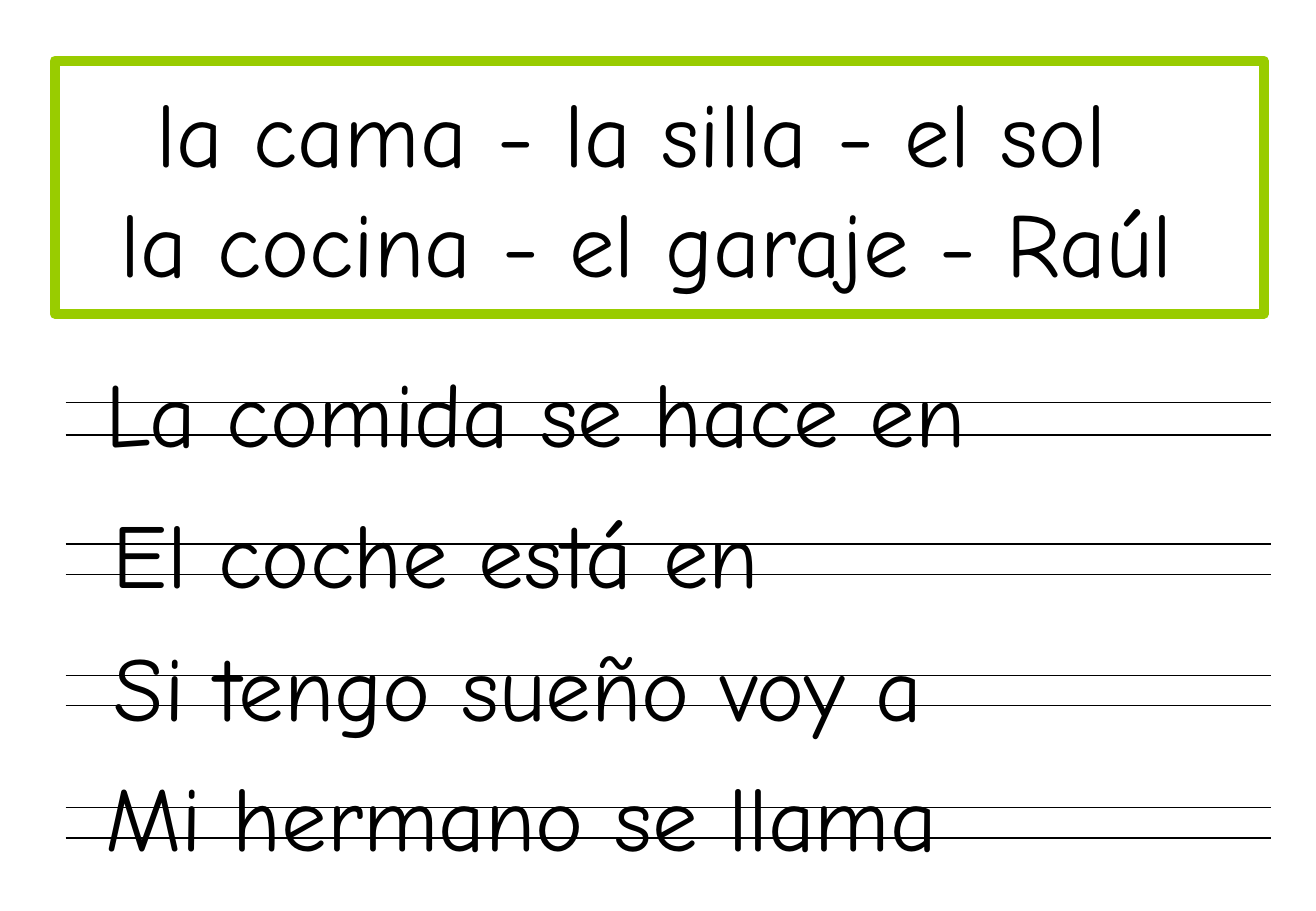
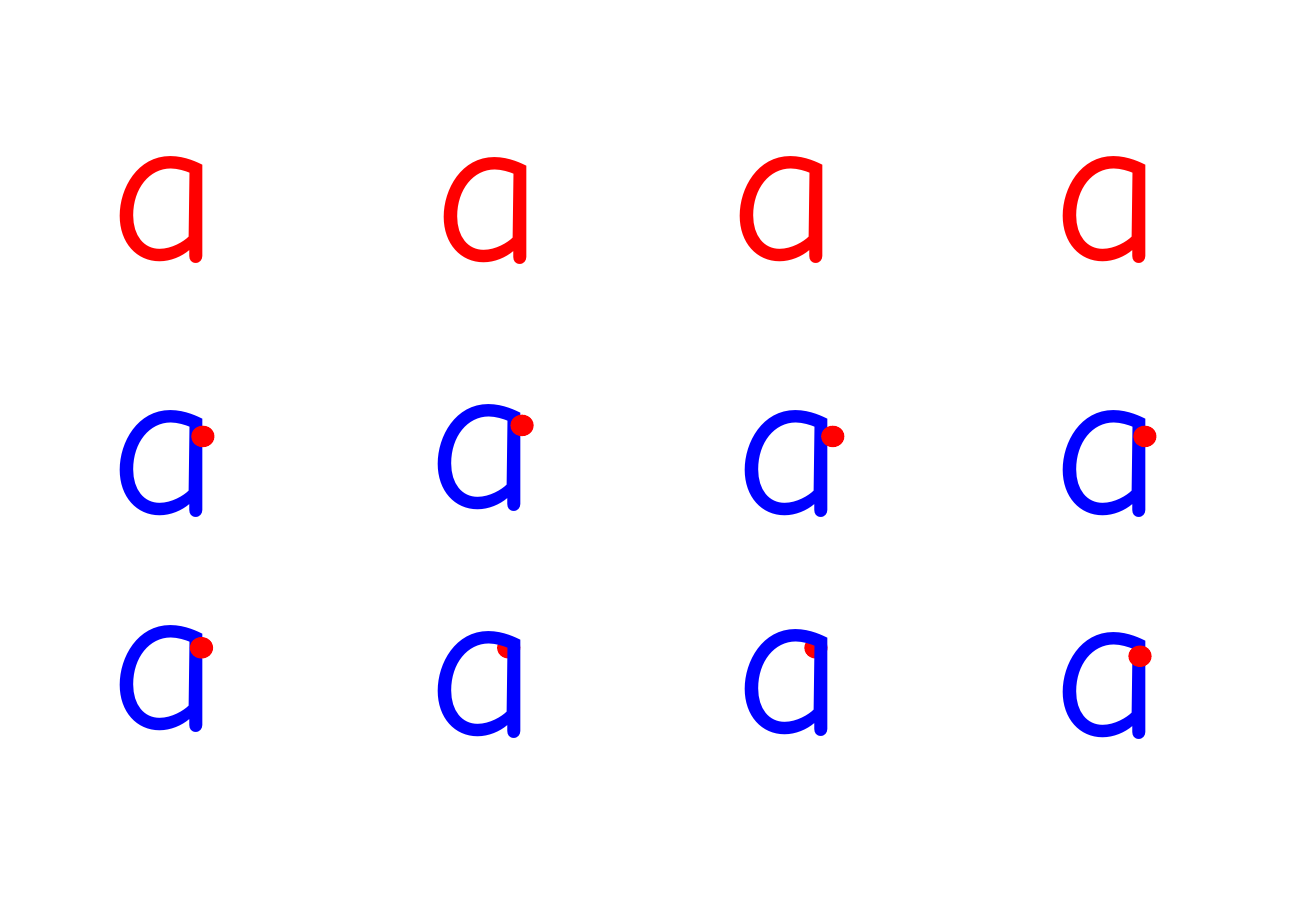
from pptx import Presentation
from pptx.dml.color import RGBColor as RGB
from pptx.enum.shapes import MSO_CONNECTOR as CONN, MSO_SHAPE as SHAPE
from pptx.enum.text import MSO_AUTO_SIZE as FIT, PP_ALIGN as ALIGN
from pptx.oxml.ns import qn
from pptx.util import Pt
from lxml.etree import SubElement

COLORS = {"ink": "000000", "frame": "99CC00", "red": "FF0000", "blue": "0000FF"}
FONT = "Comic Neue"
RULE_LEFT, RULE_RIGHT = 39, 754
LETTER_SIZE = 125
COLUMNS = (58.3, 247, 429, 617.8)


class Sheet:
    def __init__(self, prs):
        self.prs = prs
        self.slide = None

    def color(self, name):
        return RGB.from_string(COLORS[name])

    def new_slide(self):
        self.slide = self.prs.slides.add_slide(self.prs.slide_layouts[6])

    def text(self, text, x, y, w, h, size=54, color="ink", wrap=False, align=ALIGN.LEFT):
        sp = self.slide.shapes.add_textbox(Pt(x), Pt(y), Pt(w), Pt(h))
        tf = sp.text_frame
        for name, value in {"word_wrap": wrap, "auto_size": FIT.SHAPE_TO_FIT_TEXT}.items():
            setattr(tf, name, value)
        p = tf.paragraphs[0]
        p.text = text
        p.alignment = align
        for r in p.runs:
            for name, value in {"name": FONT, "size": Pt(size)}.items():
                setattr(r.font, name, value)
            r.font.color.rgb = self.color(color)

    def shape(self, kind, x, y, w, h, line, weight=0.75, fill=None):
        sp = self.slide.shapes.add_shape(kind, Pt(x), Pt(y), Pt(w), Pt(h))
        sp.shadow.inherit = False
        if fill:
            sp.fill.solid()
            sp.fill.fore_color.rgb = self.color(fill)
        else:
            sp.fill.background()
        sp.line.color.rgb = self.color(line)
        sp.line.width = Pt(weight)

    def rule(self, y):
        cx = self.slide.shapes.add_connector(
            CONN.STRAIGHT, Pt(RULE_LEFT), Pt(y), Pt(RULE_RIGHT), Pt(y))
        cx.line.color.rgb = self.color("ink")
        cx.line.width = Pt(0.75)
        SubElement(cx._element.spPr, qn("a:effectLst"))

    def letter(self, x, y, color="blue"):
        self.text("a", x, y, 78.5, 157.7, LETTER_SIZE, color)

    def dot(self, x, y):
        self.shape(SHAPE.OVAL, x, y, 13, 12, "red", fill="red")


def sentences(s):
    s.new_slide()
    s.shape(SHAPE.RECTANGLE, 32.5, 36, 717, 150, "frame", 6)
    s.text("la cama - la silla - el sol \vla cocina - el garaje - Raúl",
           39, 42, 689, 137, wrap=True, align=ALIGN.CENTER)
    for text, x, y, w, upper, gap in (
            ("Mi hermano se llama", 55.4, 447.2, 507.6, 478.8, 18),
            ("Si tengo sueño voy a", 60.5, 370, 514.8, 400.4, 18),
            ("El coche está en", 59.8, 291.6, 398.9, 322.5, 18),
            ("La comida se hace en", 55.4, 208, 525.6, 238.4, 19.4)):
        s.text(text, x, y, w, 72)
        s.rule(upper + gap)
        s.rule(upper)


def letters(s):
    s.new_slide()
    for x, y in zip((58.3, 250.5, 426.2, 617.8), (26, 26.7, 26, 26)):
        s.letter(x, y, "red")
    for x, y in zip(COLUMNS, (176.4, 172.8, 176.4, 176.4)):
        s.letter(x, y)
    for x, y in zip((113.8, 303.1, 487.4, 672.5), (252.7, 246.2, 252.7, 252.7)):
        s.dot(x, y)
    last_row = list(zip(COLUMNS, (303.8, 307.4, 306, 308.2)))
    for x, y in last_row[::3]:
        s.letter(x, y)
    for x, y in zip((113, 295.2, 477.4, 669.6), (378, 378, 378, 383)):
        s.dot(x, y)
    for x, y in last_row[1:3]:
        s.letter(x, y)


def main():
    prs = Presentation()
    prs.slide_width, prs.slide_height = Pt(780.48), Pt(540)
    s = Sheet(prs)
    sentences(s)
    letters(s)
    prs.save("out.pptx")


if __name__ == "__main__":
    main()
